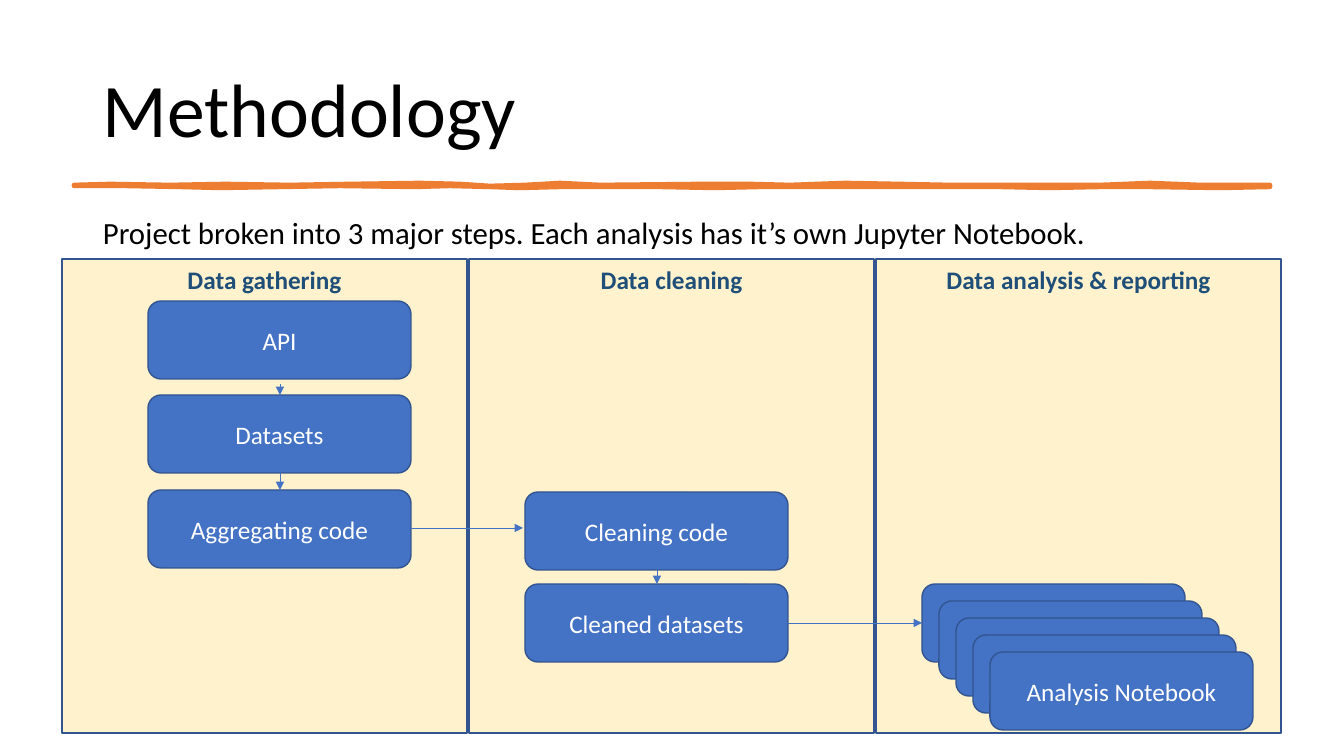
import pptx
import pptx.util
import pptx.dml.color
import pptx.enum.shapes
import pptx.enum.text
import pptx.oxml
import pptx.oxml.ns
from dataclasses import dataclass

SHAPES = pptx.enum.shapes.MSO_SHAPE
ALIGN = pptx.enum.text.PP_ALIGN
ANCHOR = pptx.enum.text.MSO_ANCHOR
EMU_PER_PIXEL = 914400 / 100.8


def px(length):
    return pptx.util.Emu(round(length * EMU_PER_PIXEL))


@dataclass(frozen=True)
class Theme:
    font: str = "Calibri"
    ink: str = "000000"
    accent: str = "ED7D31"
    panel: str = "FFF2CC"
    heading: str = "1F4E79"
    step: str = "4472C4"
    step_text: str = "FFFFFF"
    border: str = "325491"
    title_size: int = 54
    intro_size: int = 22
    label_size: int = 18
    border_width: float = 1
    arrow_width: float = 0.5
    rule_width: float = 3.25


class Deck:
    def __init__(self, theme):
        self.theme = theme
        self.presentation = pptx.Presentation()
        self.presentation.slide_width = px(1344)
        self.presentation.slide_height = px(756)
        self.slide = self.presentation.slides.add_slide(self.presentation.slide_layouts[6])

    def apply(self, target, values):
        for name, value in values.items():
            setattr(target, name, value)

    def paint(self, shape, fill, line, width):
        shape.shadow.inherit = False
        shape.fill.solid()
        shape.fill.fore_color.rgb = pptx.dml.color.RGBColor.from_string(fill)
        self.stroke(shape, line, width)

    def stroke(self, shape, color, width):
        shape.line.color.rgb = pptx.dml.color.RGBColor.from_string(color)
        shape.line.width = pptx.util.Pt(width)

    def set_words(self, shape, words, size, color, anchor, paragraph_format, bold=False):
        self.apply(shape.text_frame, {"word_wrap": True, "vertical_anchor": anchor})
        paragraph = shape.text_frame.paragraphs[0]
        self.apply(paragraph, paragraph_format)
        run = paragraph.add_run()
        run.text = words
        self.apply(run.font, {"name": self.theme.font, "size": pptx.util.Pt(size), "bold": bold})
        run.font.color.rgb = pptx.dml.color.RGBColor.from_string(color)

    def text(self, words, left, top, width, height, size, anchor):
        box = self.slide.shapes.add_textbox(px(left), px(top), px(width), px(height))
        self.set_words(box, words, size, self.theme.ink, anchor, {"line_spacing": 0.9})

    def block(self, kind, left, top, width, height, fill):
        shape = self.slide.shapes.add_shape(kind, px(left), px(top), px(width), px(height))
        self.paint(shape, fill, self.theme.border, self.theme.border_width)
        return shape

    def panel(self, heading, left, top, width, height):
        panel = self.block(SHAPES.RECTANGLE, left, top, width, height, self.theme.panel)
        self.set_words(panel, heading, self.theme.label_size, self.theme.heading,
                       ANCHOR.TOP, {"alignment": ALIGN.CENTER}, bold=True)

    def step(self, label, left, top, width, height):
        step = self.block(SHAPES.ROUNDED_RECTANGLE, left, top, width, height, self.theme.step)
        if label:
            self.set_words(step, label, self.theme.label_size, self.theme.step_text,
                           ANCHOR.MIDDLE, {"alignment": ALIGN.CENTER})

    def arrow(self, x1, y1, x2, y2):
        arrow = self.slide.shapes.add_connector(
            pptx.enum.shapes.MSO_CONNECTOR.STRAIGHT, px(x1), px(y1), px(x2), px(y2))
        self.stroke(arrow, self.theme.step, self.theme.arrow_width)
        outline = arrow.line._get_or_add_ln()
        namespace = pptx.oxml.ns.nsdecls("a")
        outline.append(pptx.oxml.parse_xml(f'<a:tailEnd {namespace} type="triangle"/>'))
        outline.addnext(pptx.oxml.parse_xml(f'<a:effectLst {namespace}/>'))

    def brush_rule(self, upper_edge, lower_edge):
        start, *rest = upper_edge + lower_edge[::-1]
        builder = self.slide.shapes.build_freeform(*start, scale=EMU_PER_PIXEL)
        builder.add_line_segments(rest, close=True)
        self.paint(builder.convert_to_shape(), self.theme.accent, self.theme.accent,
                   self.theme.rule_width)


theme = Theme()
deck = Deck(theme)

# Title, brushed rule and introduction
deck.text("Methodology", 93, 40, 1159, 146, theme.title_size, ANCHOR.MIDDLE)
deck.brush_rule(
    [(74, 185), (110, 184), (170, 185), (225, 184), (290, 185), (350, 184),
     (420, 183), (460, 184), (490, 186), (525, 185), (560, 183), (600, 185),
     (700, 184), (750, 184), (790, 185), (845, 183), (900, 184), (950, 185),
     (1050, 185), (1100, 185), (1150, 183), (1200, 185), (1270, 185)],
    [(74, 186), (125, 186), (180, 187), (220, 188), (280, 187), (340, 186),
     (415, 187), (450, 186), (490, 187), (520, 188), (560, 187), (660, 187),
     (715, 188), (760, 187), (800, 187), (870, 187), (940, 187), (1000, 187),
     (1050, 188), (1100, 187), (1150, 187), (1220, 188), (1270, 187)])
deck.text("Project broken into 3 major steps. Each analysis has it’s own Jupyter Notebook.",
          93, 213, 1159, 469, theme.intro_size, ANCHOR.TOP)

# Phase panels
for column, phase in enumerate(["Data gathering", "Data cleaning", "Data analysis & reporting"]):
    deck.panel(phase, 62 + 407 * column, 259, 405, 474)

# Steps
STEP_WIDTH, STEP_HEIGHT = 263, 78
GATHERING_LEFT, CLEANING_LEFT, ANALYSIS_LEFT = 148, 525, 922
for label, left, top in [
        ("API", GATHERING_LEFT, 301),
        ("Datasets", GATHERING_LEFT, 395),
        ("Aggregating code", GATHERING_LEFT, 490),
        ("Cleaning code", CLEANING_LEFT, 492),
        ("Cleaned datasets", CLEANING_LEFT, 584)]:
    deck.step(label, left, top, STEP_WIDTH, STEP_HEIGHT)

# Stack of notebooks, labelled on the front one
NOTEBOOKS, STACK_OFFSET = 5, 17
for depth in range(NOTEBOOKS):
    label = "Analysis Notebook" if depth == NOTEBOOKS - 1 else ""
    deck.step(label, ANALYSIS_LEFT + STACK_OFFSET * depth, 584 + STACK_OFFSET * depth,
              STEP_WIDTH, STEP_HEIGHT)

# Flow downwards within a phase
for left, start, end in [(GATHERING_LEFT, 384, 395), (GATHERING_LEFT, 473, 490),
                         (CLEANING_LEFT, 570, 584)]:
    middle = left + STEP_WIDTH // 2 + 1
    deck.arrow(middle, start, middle, end)

# Flow across phases
for left, end, y in [(GATHERING_LEFT, 523, 528), (CLEANING_LEFT, ANALYSIS_LEFT, 623)]:
    deck.arrow(left + STEP_WIDTH, y, end, y)

deck.presentation.save("out.pptx")
